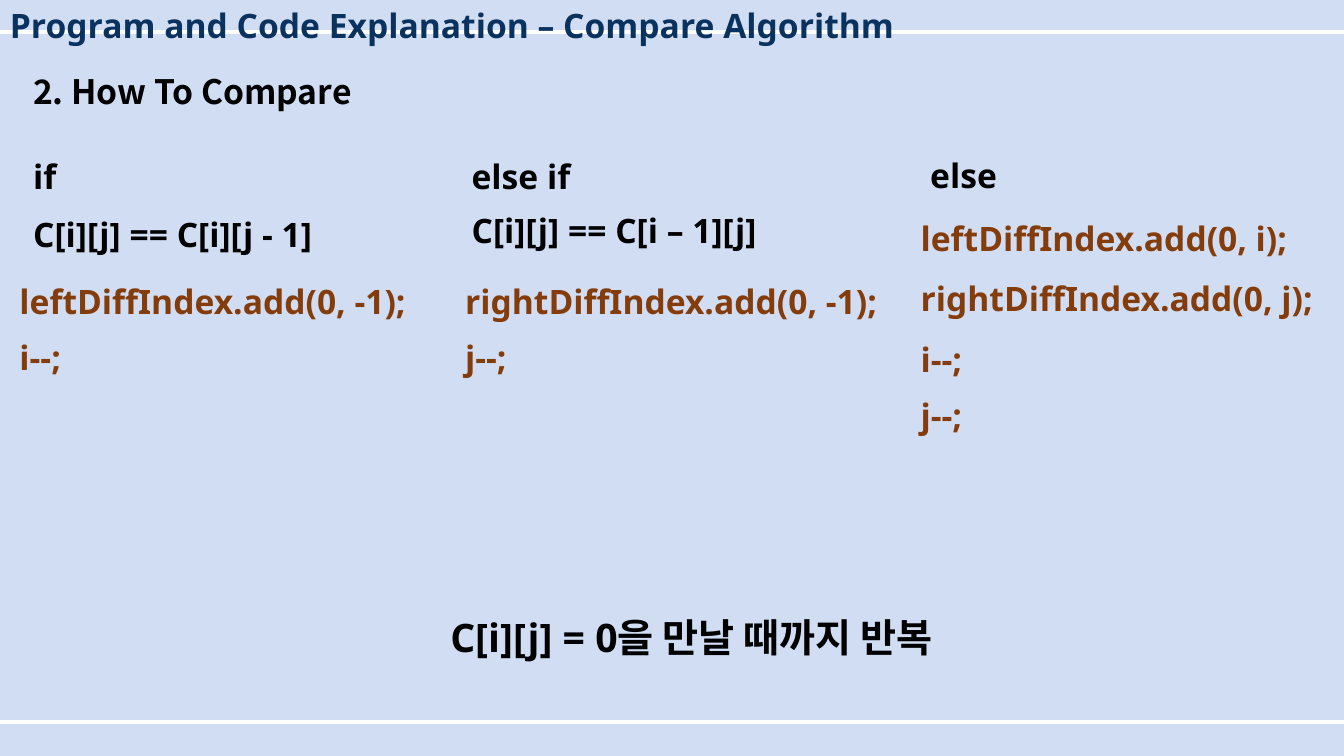
"""Build the slide that explains the compare algorithm."""
from lxml import etree
from pptx import Presentation
from pptx.dml.color import RGBColor
from pptx.enum.shapes import MSO_CONNECTOR
from pptx.enum.text import MSO_AUTO_SIZE
from pptx.oxml.ns import qn
from pptx.util import Pt

STRAIGHT = MSO_CONNECTOR.STRAIGHT
FIT_SHAPE = MSO_AUTO_SIZE.SHAPE_TO_FIT_TEXT
BACKGROUND = RGBColor(0xD1, 0xDD, 0xF3)
WHITE = RGBColor(0xFF, 0xFF, 0xFF)
NAVY = RGBColor(0x0A, 0x32, 0x5E)
BLACK = RGBColor(0, 0, 0)
BROWN = RGBColor(0x84, 0x3C, 0x0B)
LATIN = "Noto Sans"
KOREAN = "Noto Sans CJK KR"
WIDTH, HEIGHT = 960, 540
MARGIN = 7.2
CODE_INDENT = 31.2
KEYWORD_WIDTH, LINE_WIDTH = 280.8, 347.8

BRANCHES = [
    (16.6, -24.5, (108, "if"), (149, "C[i][j] == C[i][j - 1]"),
     [(197.3, "leftDiffIndex.add(0, -1);"), (236.9, "i--;")]),
    (329.8, 293.8, (108, "else if"), (146.2, "C[i][j] == C[i – 1][j]"),
     [(197.3, "rightDiffIndex.add(0, -1);"), (236.9, "j--;")]),
    (657.4, 619.2, (107.3, "else"), None,
     [(151.9, "leftDiffIndex.add(0, i);"), (195.1, "rightDiffIndex.add(0, j);"),
      (238.3, "i--;"), (278.6, "j--;")]),
]


class SlideBuilder:
    def __init__(self, slide):
        self.slide = slide
        fill = slide.background.fill
        fill.solid()
        fill.fore_color.rgb = BACKGROUND

    def rule(self, y):
        line = self.slide.shapes.add_connector(STRAIGHT, 0, Pt(y), Pt(WIDTH), Pt(y))
        line.line.color.rgb = WHITE
        line.line.width = Pt(3)
        etree.SubElement(line._element.spPr, qn("a:effectLst"))

    def text(self, x, y, width, text, color=BLACK, size=24, font=LATIN, indent=0):
        sp = self.slide.shapes.add_textbox(Pt(x), Pt(y), Pt(width), Pt(size * 1.5))
        tf = sp.text_frame
        tf.word_wrap = True
        tf.auto_size = FIT_SHAPE
        tf.margin_left = Pt(MARGIN + indent)
        tf.text = text
        r = tf.paragraphs[0].runs[0]
        r.font.size = Pt(size)
        r.font.bold = True
        r.font.name = font
        r.font.color.rgb = color
        east_asian = etree.SubElement(r.font._element, qn("a:ea"))
        east_asian.set("typeface", KOREAN)

    def branch(self, x, code_x, keyword, condition, code):
        y, text = keyword
        self.text(x, y, KEYWORD_WIDTH, text)
        if condition:
            y, text = condition
            self.text(x, y, LINE_WIDTH, text)
        for y, text in code:
            self.text(code_x, y, LINE_WIDTH, text, BROWN, indent=CODE_INDENT)


def main():
    prs = Presentation()
    prs.slide_width, prs.slide_height = Pt(WIDTH), Pt(HEIGHT)
    s = SlideBuilder(prs.slides.add_slide(prs.slide_layouts[6]))
    for y in (23, 515.5):
        s.rule(y)
    s.text(0, 0, 793.4, "Program and Code Explanation – Compare Algorithm", NAVY)
    s.text(16.6, 46.8, 596.2, "2. How To Compare", font=KOREAN)
    for branch in BRANCHES:
        s.branch(*branch)
    s.text(314.6, 434.9, 472.3, "C[i][j] = 0을 만날 때까지 반복", size=28)
    prs.save("out.pptx")


if __name__ == "__main__":
    main()
